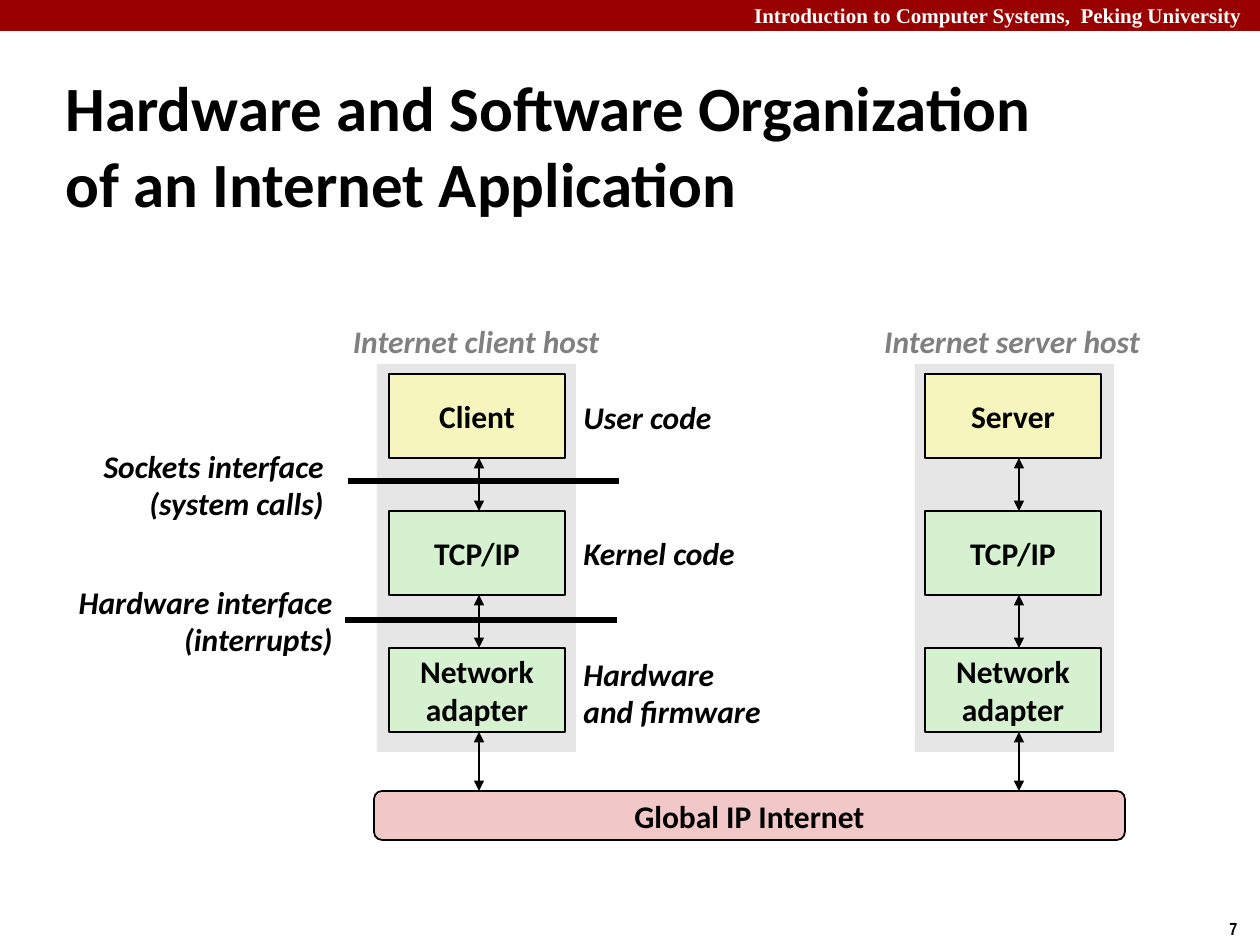
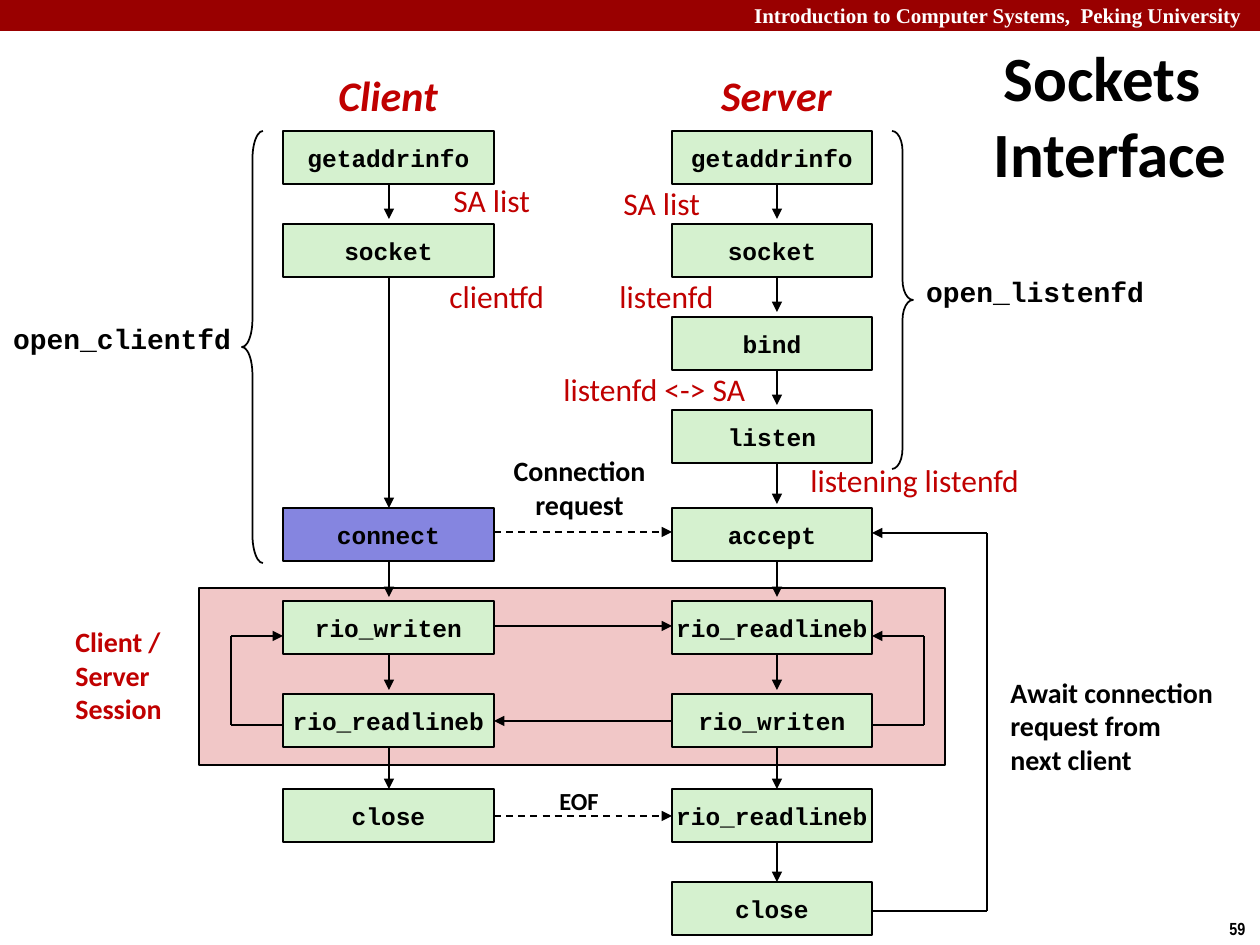
from lxml.etree import SubElement
from pptx import Presentation
from pptx.dml.color import RGBColor
from pptx.enum.dml import MSO_LINE
from pptx.enum.shapes import MSO_CONNECTOR, MSO_SHAPE
from pptx.enum.text import MSO_ANCHOR, MSO_AUTO_SIZE, PP_ALIGN
from pptx.oxml.ns import qn
from pptx.util import Emu, Pt

EMU_PER_PX = 914400 / 126
LEFT, CENTER, RIGHT = PP_ALIGN.LEFT, PP_ALIGN.CENTER, PP_ALIGN.RIGHT

THEME = {
    "colors": {
        "black": "000000", "white": "FFFFFF", "band": "990000", "red": "C00000",
        "gray": "808080", "panel": "E6E6E6", "green": "D5F1CF",
        "yellow": "F6F5BD", "pink": "F1C7C7", "blue": "8585E0",
    },
    # style: font, size, colour, bold, italic
    "text": {
        "title": ("Calibri", 36, "black", True, False),
        "header": ("Times New Roman", 12, "white", True, False),
        "number": ("Arial Narrow", 10, "black", True, False),
        "box": ("Calibri", 18, "black", True, False),
        "host": ("Calibri", 18, "gray", True, True),
        "remark": ("Calibri", 18, "black", True, True),
        "lane": ("Calibri", 24, "red", True, True),
        "code": ("Courier New", 14, "black", True, False),
        "helper": ("Courier New", 16, "black", True, False),
        "result": ("Calibri", 18, "red", False, False),
        "session": ("Calibri", 16, "red", True, False),
        "note": ("Calibri", 16, "black", True, False),
        "signal": ("Calibri", 14, "black", True, False),
    },
}

HEADER = "Introduction to Computer Systems,  Peking University"

# Slide 1: hosts as (application, panel left, box left, arrow x)
HOSTS = [("Client", 377, 389, 479), ("Server", 915, 925, 1019)]
LAYERS = [["TCP/IP"], ["Network", "adapter"]]
LAYER_TOP, LAYER_PITCH, LAYER_WIDTH, LAYER_HEIGHT = 374, 137, 176, 84
INTERNET = (374, 791, 751, 49)
INTERFACES = [(348, 619, 481), (345, 617, 620)]
HOST_LABELS = [
    (["Internet client host"], (338, 316, 276, 50), "host", CENTER),
    (["Internet server host"], (869, 316, 286, 50), "host", CENTER),
    (["Sockets interface", "(system calls)"], (88, 440, 248, 89), "remark", RIGHT),
    (["Hardware interface", "(interrupts)"], (63, 576, 282, 89), "remark", RIGHT),
    (["User code"], (571, 392, 155, 50), "remark", LEFT),
    (["Kernel code"], (571, 528, 179, 50), "remark", LEFT),
    (["Hardware", "and firmware"], (571, 648, 205, 89), "remark", LEFT),
]

# Slide 2: row bands as (first top, rows, gap below an arrow tip)
BANDS = [(131, 4, 5), (508, 3, 4), (789, 2, 0)]
ROW_PITCH, CALL_HEIGHT = 93, 53
ROWS = [(top + i * ROW_PITCH, gap) for top, count, gap in BANDS for i in range(count)]
# lanes as (left, width, arrow x, calls by row)
LANES = [
    (283, 211, 389, {0: "getaddrinfo", 1: "socket", 4: "connect", 5: "rio_writen",
                     6: "rio_readlineb", 7: "close"}),
    (672, 200, 777, dict(enumerate([
        "getaddrinfo", "socket", "bind", "listen", "accept", "rio_readlineb",
        "rio_writen", "rio_readlineb", "close"]))),
]
SESSION = (199, 588, 746, 177)
# messages as (from x, to x, y, dashed)
MESSAGES = [(494, 672, 532, True), (494, 672, 626, False),
            (672, 494, 721, False), (494, 672, 816, True)]
# loops as (box edge, outer x, from y, to y)
LOOPS = [(872, 924, 725, 636), (283, 231, 725, 636), (872, 987, 911, 533)]
BRACES = [
    (MSO_SHAPE.RIGHT_BRACE, (892, 131, 21, 338), 0.96),
    (MSO_SHAPE.LEFT_BRACE, (242, 131, 21, 432), 1.33),
]
SOCKET_LABELS = [
    (["Client"], (325, 63, 126, 63), "lane", CENTER),
    (["Server"], (708, 63, 137, 63), "lane", CENTER),
    (["open_listenfd"], (913, 268, 244, 47), "helper", CENTER),
    (["open_clientfd"], (0, 315, 244, 47), "helper", CENTER),
    (["Connection", "request"], (500, 447, 159, 81), "note", CENTER),
    (["EOF"], (546, 779, 66, 43), "signal", CENTER),
    (["Await connection", "request from", "next client"], (998, 668, 231, 115), "note", LEFT),
    (["SA list"], (441, 175, 102, 50), "result", LEFT),
    (["SA list"], (611, 178, 102, 50), "result", LEFT),
    (["clientfd"], (437, 271, 125, 50), "result", LEFT),
    (["listenfd"], (607, 271, 121, 50), "result", LEFT),
    (["listenfd <-> SA"], (551, 364, 209, 50), "result", LEFT),
    (["listening listenfd"], (798, 455, 242, 50), "result", LEFT),
]


def px(*lengths):
    return [Emu(round(length * EMU_PER_PX)) for length in lengths]


def color(name):
    return RGBColor.from_string(THEME["colors"][name])


def set_all(target, values):
    for name, value in values.items():
        setattr(target, name, value)


def write(shape, lines, style, align, wrap=False, auto_size=MSO_AUTO_SIZE.NONE):
    """Fill a shape with one paragraph per line."""
    name, size, color_name, bold, italic = THEME["text"][style]
    font = {"name": name, "size": Pt(size), "bold": bold, "italic": italic}
    frame = shape.text_frame
    set_all(frame, {"word_wrap": wrap, "auto_size": auto_size,
                    "vertical_anchor": MSO_ANCHOR.MIDDLE})
    for index, line in enumerate(lines):
        paragraph = frame.add_paragraph() if index else frame.paragraphs[0]
        paragraph.alignment = align
        run = paragraph.add_run()
        run.text = line
        set_all(run.font, font)
        run.font.color.rgb = color(color_name)


def add_label(slide, lines, place, style, align, wrap=False):
    label = slide.shapes.add_textbox(*px(*place))
    write(label, lines, style, align, wrap, MSO_AUTO_SIZE.SHAPE_TO_FIT_TEXT)


def add_box(slide, place, fill=None, outlined=True, kind=MSO_SHAPE.RECTANGLE):
    box = slide.shapes.add_shape(kind, *px(*place))
    box.shadow.inherit = False
    if fill:
        box.fill.solid()
        box.fill.fore_color.rgb = color(fill)
    else:
        box.fill.background()
    if outlined:
        box.line.color.rgb = color("black")
        box.line.width = Pt(1)
    else:
        box.line.fill.background()
    return box


def add_line(slide, start, end, width=1, dashed=False, heads=()):
    """Draw a line; heads may hold headEnd and tailEnd, in that order."""
    line = slide.shapes.add_connector(MSO_CONNECTOR.STRAIGHT, *px(*start, *end))
    line.line.color.rgb = color("black")
    line.line.width = Pt(width)
    if dashed:
        line.line.dash_style = MSO_LINE.DASH
    properties = line._element.spPr
    for head in heads:
        SubElement(properties.find(qn("a:ln")), qn(f"a:{head}"), type="triangle")
    SubElement(properties, qn("a:effectLst"))


def add_arrow(slide, start, end, dashed=False):
    add_line(slide, start, end, dashed=dashed, heads=["tailEnd"])


def add_slide(presentation, number, title_lines, place, align):
    slide = presentation.slides.add_slide(presentation.slide_layouts[5])
    title = slide.shapes.title
    set_all(title, dict(zip(("left", "top", "width", "height"), px(*place))))
    write(title, title_lines, "title", align, wrap=True)
    add_box(slide, (0, 0, 1260, 31), "band", outlined=False)
    add_label(slide, [HEADER], (593, -4, 661, 38), "header", RIGHT, wrap=True)
    add_label(slide, [number], (1217, 911, 43, 34), "number", LEFT)
    return slide


def build_organization(presentation):
    slide = add_slide(
        presentation, "7",
        ["Hardware and Software Organization", "of an Internet Application"],
        (53, 69, 1120, 151), LEFT)
    for application, panel_left, box_left, arrow_x in HOSTS:
        add_box(slide, (panel_left, 364, 199, 388), "panel", outlined=False)
        for index, lines in enumerate([[application], *LAYERS]):
            top = LAYER_TOP + index * LAYER_PITCH
            bottom = top + LAYER_HEIGHT
            box = add_box(slide, (box_left, top, LAYER_WIDTH, LAYER_HEIGHT),
                          "green" if index else "yellow")
            write(box, lines, "box", CENTER)
            target = INTERNET[1] if index == len(LAYERS) else top + LAYER_PITCH
            add_line(slide, (arrow_x, bottom), (arrow_x, target),
                     heads=["headEnd", "tailEnd"])
    internet = add_box(slide, INTERNET, "pink", kind=MSO_SHAPE.ROUNDED_RECTANGLE)
    write(internet, ["Global IP Internet"], "box", CENTER)
    for label in HOST_LABELS:
        add_label(slide, *label)
    for left, right, y in INTERFACES:
        add_line(slide, (left, y), (right, y), width=3)


def build_sockets(presentation):
    slide = add_slide(presentation, "59", ["Sockets Interface"],
                      (955, 32, 294, 165), CENTER)
    indent = px(16)[0]
    properties = slide.shapes.title.text_frame.paragraphs[0]._p.get_or_add_pPr()
    properties.set("marL", str(indent))
    properties.set("indent", str(-indent))

    add_box(slide, SESSION, "pink")
    add_label(slide, ["Client / Server", "Session"], (63, 622, 116, 106),
              "session", LEFT, wrap=True)
    for left, width, arrow_x, calls in LANES:
        rows = list(calls)
        for row, call in calls.items():
            fill = "blue" if call == "connect" else "green"
            box = add_box(slide, (left, ROWS[row][0], width, CALL_HEIGHT), fill)
            write(box, [call], "code", CENTER)
        for row, following in zip(rows, rows[1:]):
            top, gap = ROWS[following]
            tip = top - gap if following == row + 1 else top
            add_arrow(slide, (arrow_x, ROWS[row][0] + CALL_HEIGHT), (arrow_x, tip))
    for start, end, y, dashed in MESSAGES:
        add_arrow(slide, (start, y), (end, y), dashed)
    for edge, outer, start, end in LOOPS:
        add_line(slide, (edge, start), (outer, start))
        add_line(slide, (outer, start), (outer, end))
        add_arrow(slide, (outer, end), (edge, end))
    for kind, place, curl in BRACES:
        brace = add_box(slide, place, kind=kind)
        brace.adjustments[0] = curl
    for label in SOCKET_LABELS:
        add_label(slide, *label)


def main():
    presentation = Presentation()
    presentation.slide_width, presentation.slide_height = px(1260, 945)
    build_organization(presentation)
    build_sockets(presentation)
    presentation.save("out.pptx")


if __name__ == "__main__":
    main()
